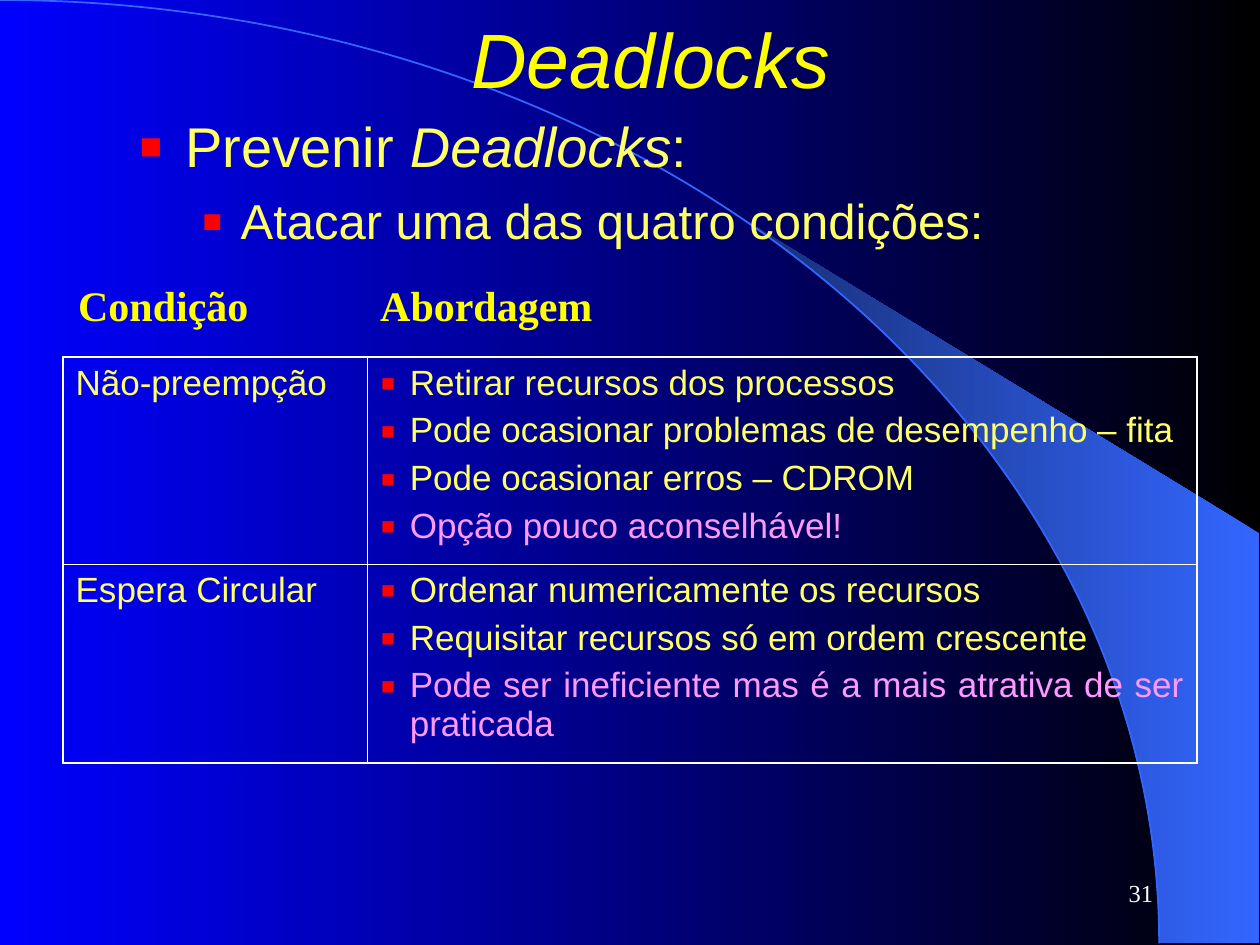
"""Build the slide on preventing deadlocks, with its table of conditions."""
from dataclasses import dataclass
from math import acos, cos, sin
from typing import NamedTuple

from lxml.etree import SubElement
from pptx import Presentation
from pptx.dml.color import RGBColor
from pptx.enum.shapes import MSO_SHAPE as Shape
from pptx.enum.text import MSO_ANCHOR as Anchor, PP_ALIGN as Align
from pptx.oxml.ns import qn
from pptx.util import Pt


@dataclass(frozen=True)
class Theme:
    sans: str = "Arial"
    serif: str = "Times New Roman"
    black: str = "000000"
    blue: str = "0000FF"
    arc: str = "3366FF"
    arc_dark: str = "172F75"
    heading: str = "FFFF00"
    body: str = "FFFF66"
    warning: str = "FF99FF"
    bullet: str = "FF0000"
    white: str = "FFFFFF"
    title_size: float = 44
    topic_size: float = 32
    subtopic_size: float = 28
    header_size: float = 24
    cell_size: float = 20
    number_size: float = 14
    outer_line: float = 1.08
    inner_line: float = 0.45


class Box(NamedTuple):
    left: float
    top: float
    width: float
    height: float


class Span(NamedTuple):
    text: str
    italic: bool = False


class Condition(NamedTuple):
    name: str
    approaches: tuple[str, ...]
    verdict: str


class Header(NamedTuple):
    text: str
    box: Box


THEME = Theme()
ARC_WIDTH, ARC_HEIGHT = 662.4, 539
COLUMN_WIDTHS = (174, 474)
ROW_HEIGHTS = (118.5, 113.5)
HEADERS = (
    Header("Condição", Box(37.6, 156, 116, 36)),
    Header("Abordagem", Box(210.2, 156, 141, 36)),
)
CONDITIONS = (
    Condition("Não-preempção",
              ("Retirar recursos dos processos",
               "Pode ocasionar problemas de desempenho – fita",
               "Pode ocasionar erros – CDROM"),
              "Opção pouco aconselhável!"),
    Condition("Espera Circular",
              ("Ordenar numericamente os recursos",
               "Requisitar recursos só em ordem crescente"),
              "Pode ser ineficiente mas é a mais atrativa de ser praticada"),
)


def rgb(color: str) -> RGBColor:
    """Turn a hex string into a colour."""
    return RGBColor.from_string(color)


def add_bullet(paragraph, margin: float, hanging: float) -> None:
    """Give a paragraph a red square bullet with a hanging indent."""
    properties = paragraph._p.get_or_add_pPr()
    properties.set("marL", str(Pt(margin)))
    properties.set("indent", str(-Pt(hanging)))
    color = SubElement(properties, qn("a:buClr"))
    SubElement(color, qn("a:srgbClr"), val=THEME.bullet)
    SubElement(properties, qn("a:buSzPct"), val="130000")
    SubElement(properties, qn("a:buFont"), typeface=THEME.sans)
    SubElement(properties, qn("a:buChar"), char="▪")


def write(frame, *spans: Span, size: float, color: str, font: str = THEME.sans,
          bold: bool = False, align=Align.LEFT, before: float = 0,
          bullet: tuple[float, float] | None = None, level: int = 0) -> None:
    """Write one paragraph, filling the empty first one when there is one."""
    first = frame.paragraphs[0]
    paragraph = frame.add_paragraph() if first.runs else first
    paragraph.alignment = align
    paragraph.level = level
    if bullet:
        add_bullet(paragraph, *bullet)
    paragraph.space_before = Pt(before)
    for span in spans:
        run = paragraph.add_run()
        run.text = span.text
        run.font.name, run.font.size = font, Pt(size)
        run.font.bold, run.font.italic = bold, span.italic
        run.font.color.rgb = rgb(color)


def add_frame(slide, box: Box, anchor=Anchor.TOP):
    """Add a wrapping text box and return its text frame."""
    frame = slide.shapes.add_textbox(*map(Pt, box)).text_frame
    frame.word_wrap = True
    frame.vertical_anchor = anchor
    return frame


def fill_gradient(fill, right: str, left: str) -> None:
    """Blend two colours from the right edge to the left."""
    fill.gradient()
    fill.gradient_angle = 180
    for stop, color in zip(fill.gradient_stops, (right, left)):
        stop.color.rgb = rgb(color)


def draw_backdrop(slide) -> None:
    """Draw the gradient background, the bright wedge and the arc."""
    fill_gradient(slide.background.fill, THEME.black, THEME.blue)
    steps = 24
    start = acos(0.64)
    angles = [start * (1 - step / steps) for step in range(steps + 1)]
    rim = [(Pt(ARC_WIDTH * cos(angle)), Pt(ARC_HEIGHT * (1 - sin(angle))))
           for angle in angles]
    corners = [(Pt(719.3), Pt(ARC_HEIGHT)), (Pt(719.3), Pt(304.6))]
    builder = slide.shapes.build_freeform(*rim[0], scale=1.0)
    builder.add_line_segments(rim[1:] + corners, close=True)
    wedge = builder.convert_to_shape()
    wedge.shadow.inherit = False
    fill_gradient(wedge.fill, THEME.arc, THEME.arc_dark)
    wedge.line.fill.background()

    bounds = Box(-ARC_WIDTH, 0, 2 * ARC_WIDTH, 2 * ARC_HEIGHT)
    arc = slide.shapes.add_shape(Shape.ARC, *map(Pt, bounds))
    arc.shadow.inherit = False
    arc.fill.background()
    arc.line.color.rgb = rgb(THEME.arc)
    arc.line.width = Pt(1)


def set_borders(cell, outer_sides: set[str]) -> None:
    """Draw the four cell borders, thicker on the table's outer sides."""
    properties = cell._tc.get_or_add_tcPr()
    for side in "LRTB":
        width = THEME.outer_line if side in outer_sides else THEME.inner_line
        line = SubElement(properties, qn(f"a:ln{side}"), w=str(Pt(width)))
        solid = SubElement(line, qn("a:solidFill"))
        SubElement(solid, qn("a:srgbClr"), val=THEME.white)


def draw_conditions(slide) -> None:
    """Draw the table of conditions and approaches."""
    bounds = Box(36, 204, sum(COLUMN_WIDTHS), sum(ROW_HEIGHTS))
    table = slide.shapes.add_table(2, 2, *map(Pt, bounds)).table
    table.first_row = table.horz_banding = False
    for column, width in zip(table.columns, COLUMN_WIDTHS):
        column.width = Pt(width)
    style = dict(size=THEME.cell_size, align=Align.JUSTIFY)
    for index, condition in enumerate(CONDITIONS):
        table.rows[index].height = Pt(ROW_HEIGHTS[index])
        name, approach = table.cell(index, 0), table.cell(index, 1)
        for cell, side in ((name, "L"), (approach, "R")):
            set_borders(cell, {side, "TB"[index]})
            cell.fill.background()
        write(name.text_frame, Span(condition.name), color=THEME.body, **style)
        lines = [(text, THEME.body) for text in condition.approaches]
        lines.append((condition.verdict, THEME.warning))
        for order, (text, color) in enumerate(lines):
            write(approach.text_frame, Span(text), color=color,
                  before=5 if order else 0, bullet=(17, 17), **style)


def main() -> None:
    """Build and save the slide."""
    deck = Presentation()
    deck.slide_width, deck.slide_height = Pt(720), Pt(540)
    slide = deck.slides.add_slide(deck.slide_layouts[6])
    draw_backdrop(slide)
    title = add_frame(slide, Box(48, -12, 648, 90), Anchor.MIDDLE)
    write(title, Span("Deadlocks", True), size=THEME.title_size,
          color=THEME.heading, align=Align.CENTER)
    topics = add_frame(slide, Box(72, 60, 648, 360))
    write(topics, Span("Prevenir "), Span("Deadlocks", True), Span(":"),
          size=THEME.topic_size, color=THEME.body, align=Align.JUSTIFY,
          bullet=(27, 27))
    write(topics, Span("Atacar uma das quatro condições:"),
          size=THEME.subtopic_size, color=THEME.body, align=Align.JUSTIFY,
          before=7, bullet=(58.5, 22.5), level=1)
    draw_conditions(slide)
    for header in HEADERS:
        write(add_frame(slide, header.box), Span(header.text), bold=True,
              size=THEME.header_size, color=THEME.heading, font=THEME.serif)
    number = add_frame(slide, Box(516, 492, 150, 36), Anchor.MIDDLE)
    write(number, Span("31"), size=THEME.number_size, color=THEME.white,
          font=THEME.serif, align=Align.RIGHT)
    deck.save("out.pptx")


if __name__ == "__main__":
    main()
